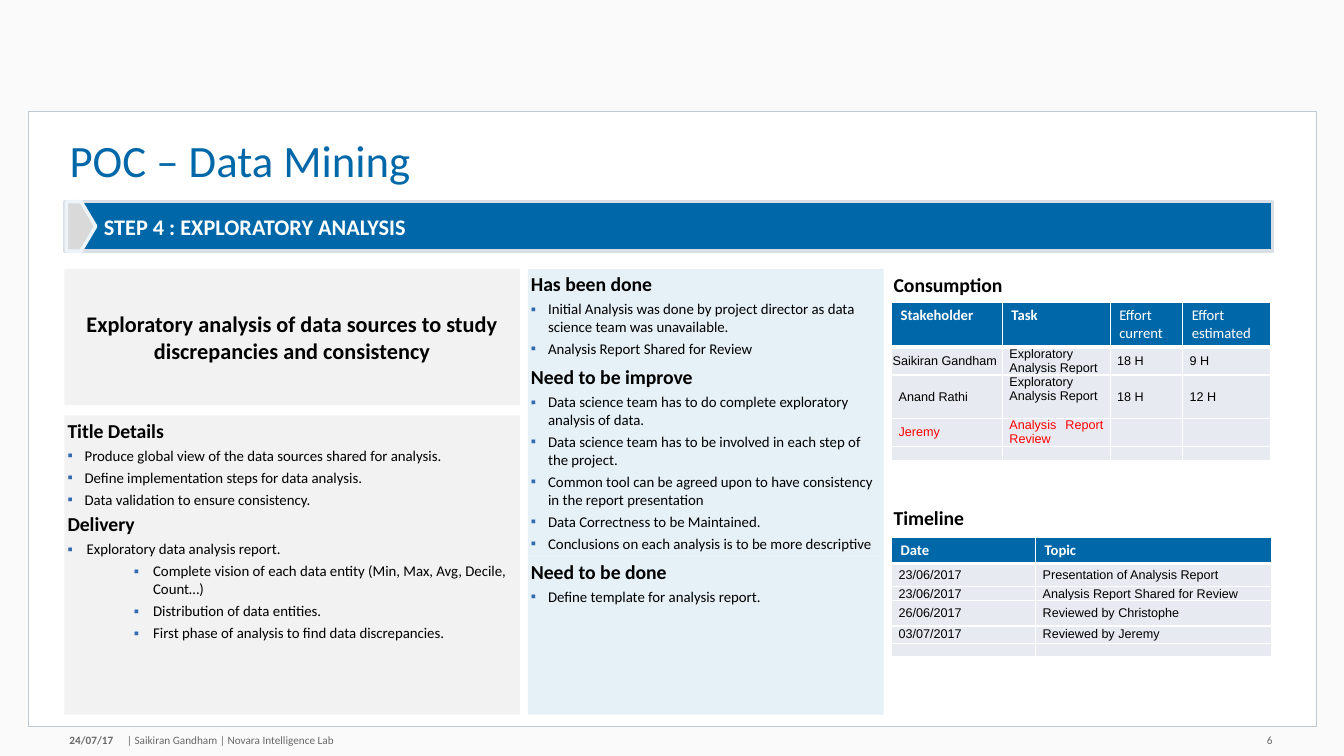
from dataclasses import dataclass

from lxml.etree import SubElement
from pptx import Presentation
from pptx.dml.color import RGBColor
from pptx.enum.shapes import MSO_SHAPE as Preset
from pptx.enum.text import MSO_ANCHOR as Anchor, MSO_AUTO_SIZE as AutoSize, PP_ALIGN as Align
from pptx.oxml.ns import qn
from pptx.util import Inches, Pt

BLUE = RGBColor(0x00, 0x68, 0xA9)
BULLET_BLUE = RGBColor(0x31, 0x6A, 0xB0)
PALE_BLUE = RGBColor(0xE5, 0xF1, 0xF7)
ICE = RGBColor(0xED, 0xF4, 0xF9)
PALE_GREY = RGBColor(0xF2, 0xF2, 0xF2)
MID_GREY = RGBColor(0xD9, 0xD9, 0xD9)
BANNER_EDGE = RGBColor(0xD9, 0xDF, 0xE4)
FRAME_EDGE = RGBColor(0xBF, 0xC9, 0xD2)
CELL_GREY = RGBColor(0xE7, 0xEB, 0xF1)
FOOTER_GREY = RGBColor(0x68, 0x68, 0x68)
BACKGROUND = RGBColor(0xFA, 0xFA, 0xFA)
WHITE = RGBColor(0xFF, 0xFF, 0xFF)
BLACK = RGBColor(0x00, 0x00, 0x00)
RED = RGBColor(0xFF, 0x00, 0x00)

Box = tuple[float, float, float, float]


@dataclass(frozen=True)
class Style:
    size: float
    bold: bool = False
    before: float = 0
    indent: float = 0
    hanging: float = 0
    align: Align = Align.LEFT


HEADING = Style(14.1, bold=True, before=5.3)
SUBHEADING = Style(14.1, bold=True, before=3)
BULLET = Style(10.6, before=3, indent=0.17, hanging=0.17)
WIDE_BULLET = Style(10.6, before=3, indent=0.19, hanging=0.19)
SUB_BULLET = Style(10.6, before=3, indent=0.85, hanging=0.19)
SUMMARY = Style(15.9, bold=True, align=Align.CENTER)


@dataclass(frozen=True)
class Panel:
    box: Box
    fill: RGBColor
    lines: list[tuple[Style, str]]
    anchor: Anchor = Anchor.TOP


@dataclass(frozen=True)
class Cell:
    text: str = ""
    inset: float = 0.07
    color: RGBColor = BLACK
    bold: bool = False
    anchor: Anchor = Anchor.MIDDLE


@dataclass(frozen=True)
class Grid:
    title: str
    title_top: float
    top: float
    widths: list[float]
    heights: list[float]
    rows: list[list[Cell]]


PANELS = [
    Panel((0.64, 2.67, 4.52, 1.35), PALE_GREY, [
        (SUMMARY, "Exploratory analysis of data sources to study discrepancies and consistency"),
    ], Anchor.MIDDLE),
    Panel((5.24, 2.67, 3.53, 2.85), PALE_BLUE, [
        (HEADING, "Has been done"),
        (BULLET, "Initial Analysis was done by project director as data science team was unavailable."),
        (BULLET, "Analysis Report Shared for Review"),
        (HEADING, "Need to be improve"),
        (BULLET, "Data science team has to do complete exploratory analysis of data."),
        (BULLET, "Data science team has to be involved in each step of the project."),
        (BULLET, "Common tool can be agreed upon to have consistency in the report presentation"),
        (BULLET, "Data Correctness to be Maintained."),
        (BULLET, "Conclusions on each analysis is to be more descriptive"),
    ]),
    Panel((0.64, 4.12, 4.52, 2.97), PALE_GREY, [
        (HEADING, "Title Details"),
        (BULLET, "Produce global view of the data sources shared for analysis."),
        (BULLET, "Define implementation steps for data analysis."),
        (BULLET, "Data validation to ensure consistency."),
        (SUBHEADING, "Delivery"),
        (WIDE_BULLET, "Exploratory data analysis report."),
        (SUB_BULLET, "Complete vision of each data entity (Min, Max, Avg, Decile, Count…)"),
        (SUB_BULLET, "Distribution of data entities."),
        (SUB_BULLET, "First phase of analysis to find data discrepancies."),
    ]),
    Panel((5.24, 5.52, 3.53, 1.57), PALE_BLUE, [
        (HEADING, "Need to be done"),
        (BULLET, "Define template for analysis report."),
    ]),
]

GRIDS = [
    Grid("Consumption", 2.7, 3, [1.1, 1.07, 0.72, 0.87], [0.44, 0.27, 0.43, 0.28, 0.14], [
        [Cell("Stakeholder", bold=True), Cell("Task", bold=True),
         Cell("Effort current"), Cell("Effort estimated")],
        [Cell("Saikiran Gandham", inset=0.01), Cell("Exploratory Analysis Report"),
         Cell("18 H"), Cell("9 H")],
        [Cell("Anand Rathi"), Cell("Exploratory Analysis Report", anchor=Anchor.TOP),
         Cell("18 H"), Cell("12 H")],
        [Cell("Jeremy", color=RED), Cell("Analysis Report Review", color=RED), Cell(), Cell()],
        [Cell()] * 4,
    ]),
    Grid("Timeline", 5.02, 5.33, [1.43, 2.34], [0.26, 0.23, 0.14, 0.25, 0.17, 0.13], [
        [Cell("Date", bold=True), Cell("Topic", bold=True)],
        [Cell("23/06/2017"), Cell("Presentation of Analysis Report")],
        [Cell("23/06/2017"), Cell("Analysis Report Shared for Review")],
        [Cell("26/06/2017"), Cell("Reviewed by Christophe")],
        [Cell("03/07/2017"), Cell("Reviewed by Jeremy")],
        [Cell()] * 2,
    ]),
]


def write(paragraph, text: str, *, size: float, color: RGBColor = BLACK, bold: bool = False,
          font: str = "Calibri", align: Align = Align.LEFT, before: float = 0) -> None:
    paragraph.alignment = align
    paragraph.space_before = Pt(before)
    run = paragraph.add_run()
    run.text = text
    run.font.name, run.font.size, run.font.bold = font, Pt(size), bold
    run.font.color.rgb = color


def set_indent(paragraph, indent: float, hanging: float = 0) -> None:
    """Indent a paragraph, with a square bullet when it has a hanging indent."""
    properties = paragraph._p.get_or_add_pPr()
    properties.set("marL", str(Inches(indent)))
    properties.set("indent", str(-Inches(hanging)))
    if hanging:
        color = SubElement(properties, qn("a:buClr"))
        SubElement(color, qn("a:srgbClr"), val=str(BULLET_BLUE))
        SubElement(properties, qn("a:buChar"), char="▪")
    else:
        SubElement(properties, qn("a:buNone"))


def place(shape, box: Box) -> None:
    shape.left, shape.top, shape.width, shape.height = map(Inches, box)


def prepare_frame(shape, inset: float = 0, anchor: Anchor = Anchor.MIDDLE):
    frame = shape.text_frame
    frame.word_wrap, frame.auto_size, frame.vertical_anchor = True, AutoSize.NONE, anchor
    frame.margin_left = frame.margin_right = frame.margin_top = frame.margin_bottom = Inches(inset)
    return frame


def add_preset(slide, preset: Preset, box: Box, fill: RGBColor, edge: RGBColor, width: float):
    shape = slide.shapes.add_shape(preset, *map(Inches, box))
    shape.shadow.inherit = False
    shape.fill.solid()
    shape.fill.fore_color.rgb = fill
    shape.line.color.rgb, shape.line.width = edge, Pt(width)
    return shape


def add_label(slide, text: str, box: Box, **text_format) -> None:
    frame = prepare_frame(slide.shapes.add_textbox(*map(Inches, box)))
    write(frame.paragraphs[0], text, **text_format)


def fill_panel(placeholder, panel: Panel) -> None:
    place(placeholder, panel.box)
    placeholder.fill.solid()
    placeholder.fill.fore_color.rgb = panel.fill
    frame = prepare_frame(placeholder, 0.03, panel.anchor)
    for number, (style, text) in enumerate(panel.lines):
        paragraph = frame.add_paragraph() if number else frame.paragraphs[0]
        set_indent(paragraph, style.indent, style.hanging)
        write(paragraph, text, size=style.size, bold=style.bold, align=style.align,
              before=style.before if number else 0)


def format_cell(cell, content: Cell, row: int) -> None:
    header = row == 0
    heavy = {0: "lnB", 1: "lnT"}.get(row)
    side, edge = (0.09, 0.04) if header else (content.inset, 0)
    cell.margin_left = cell.margin_right = Inches(side)
    cell.margin_top = cell.margin_bottom = Inches(edge)
    cell.vertical_anchor = Anchor.TOP if header else content.anchor
    for name in ("lnL", "lnR", "lnT", "lnB"):
        line = SubElement(cell._tc.get_or_add_tcPr(), qn(f"a:{name}"),
                          w=str(Pt(3 if name == heavy else 1)))
        SubElement(SubElement(line, qn("a:solidFill")), qn("a:srgbClr"), val=str(WHITE))
    cell.fill.solid()
    cell.fill.fore_color.rgb = BLUE if header else CELL_GREY
    paragraph = cell.text_frame.paragraphs[0]
    if header:
        write(paragraph, content.text, size=10.5, color=WHITE, bold=content.bold)
    elif content.text:
        write(paragraph, content.text, size=9, color=content.color, font="Arial", align=Align.JUSTIFY)
    else:
        SubElement(paragraph._p, qn("a:endParaRPr"), sz="800")


def add_grid(slide, grid: Grid) -> None:
    add_label(slide, grid.title, (8.87, grid.title_top, 3.3, 0.24), size=14.1, bold=True)
    box = (8.85, grid.top, sum(grid.widths), sum(grid.heights))
    table = slide.shapes.add_table(len(grid.heights), len(grid.widths), *map(Inches, box)).table
    table.first_row = table.horz_banding = False
    for column, width in zip(table.columns, grid.widths):
        column.width = Inches(width)
    for number, (row, height) in enumerate(zip(table.rows, grid.heights)):
        row.height = Inches(height)
        for cell, content in zip(row.cells, grid.rows[number]):
            format_cell(cell, content, number)


def main() -> None:
    presentation = Presentation()
    presentation.slide_width, presentation.slide_height = Inches(13.34), Inches(7.5)
    slide = presentation.slides.add_slide(presentation.slide_layouts.get_by_name("Comparison"))
    slide.background.fill.solid()
    slide.background.fill.fore_color.rgb = BACKGROUND

    title, *bodies = slide.placeholders
    page = add_preset(slide, Preset.RECTANGLE, (0.28, 1.1, 12.78, 6.1), WHITE, FRAME_EDGE, 0.25)
    title.element.addprevious(page.element)
    place(title, (0.69, 1.38, 12.36, 0.48))
    heading = prepare_frame(title, anchor=Anchor.TOP).paragraphs[0]
    heading.line_spacing = 0.9
    write(heading, "POC – Data Mining", size=32, color=BLUE)

    banner = add_preset(slide, Preset.RECTANGLE, (0.64, 2, 11.99, 0.49), BLUE, BANNER_EDGE, 2.5)
    step = prepare_frame(banner, 0.03).paragraphs[0]
    set_indent(step, 0.36)
    write(step, "STEP 4 : EXPLORATORY ANALYSIS", size=15.9, color=WHITE, bold=True)
    add_preset(slide, Preset.PENTAGON, (0.66, 2, 0.29, 0.49), MID_GREY, ICE, 2.5)

    for body, panel in zip(bodies, PANELS):
        fill_panel(body, panel)
    for grid in GRIDS:
        add_grid(slide, grid)

    footer = {"size": 8, "color": FOOTER_GREY}
    add_label(slide, "24/07/17", (0.69, 7.28, 0.56, 0.13), bold=True, **footer)
    add_label(slide, "| Saikiran Gandham | Novara Intelligence Lab", (1.26, 7.28, 4.67, 0.13), **footer)
    add_label(slide, "6", (11.84, 7.28, 0.79, 0.13), align=Align.RIGHT, **footer)
    presentation.save("out.pptx")


if __name__ == "__main__":
    main()
